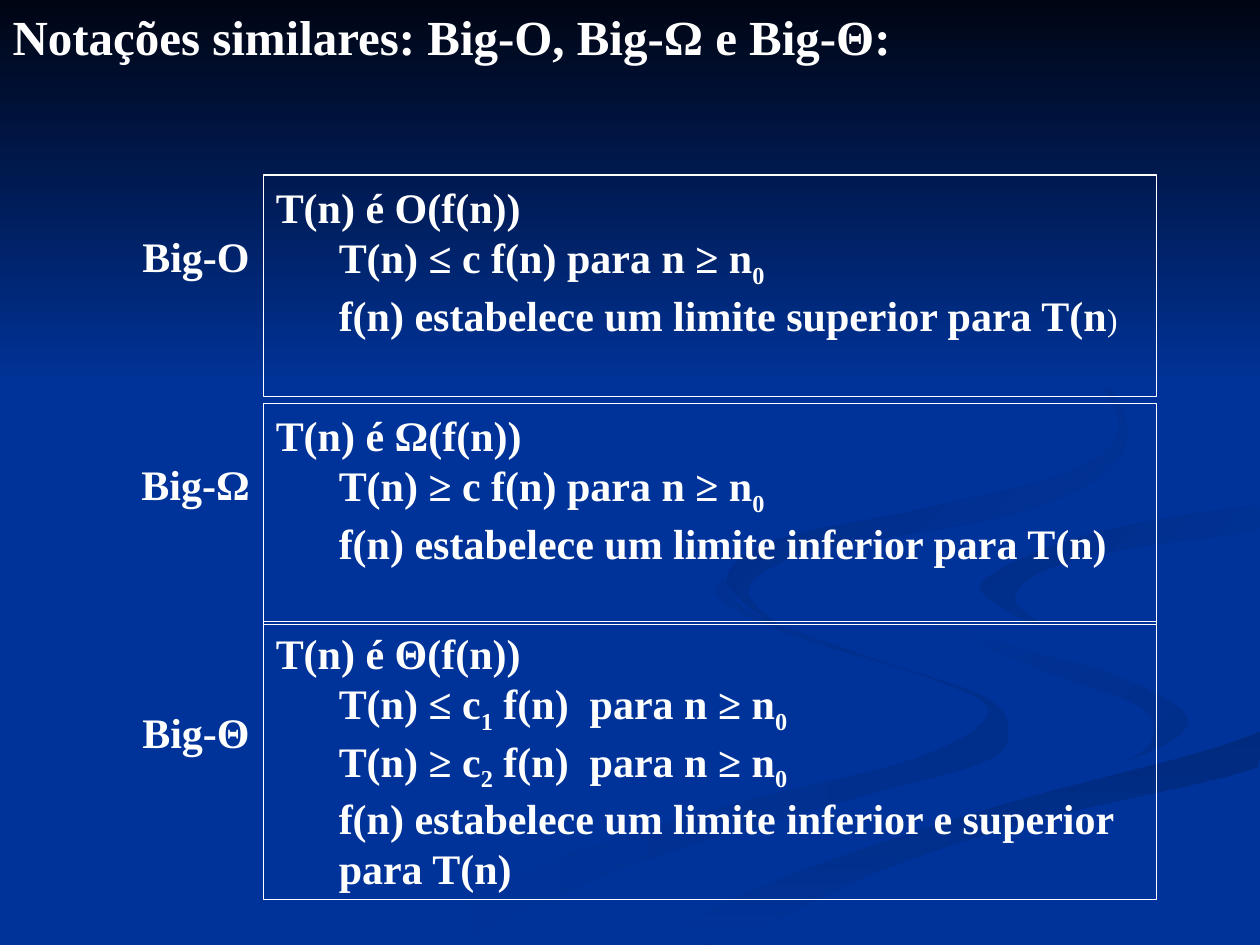
"""Build the slide comparing the Big-O, Big-Ω and Big-Θ notations."""
from dataclasses import dataclass

import pptx
import pptx.dml.color
import pptx.enum.shapes
import pptx.enum.text
import pptx.util
from pptx.util import Inches

Point = tuple[float, float]


@dataclass(frozen=True)
class Theme:
    font: str = "Times New Roman"
    background: str = "003399"
    night: str = "000514"
    text: str = "FFFFFF"
    title_size: int = 28
    body_size: int = 24
    small_size: int = 18
    border: float = 0.75


@dataclass(frozen=True)
class Ribbon:
    start: str
    end: str
    angle: int
    bends: tuple[Point, ...]


@dataclass(frozen=True)
class Notation:
    label: str
    label_top: float
    top: float
    height: float
    heading: str
    details: tuple[str, ...]
    small_ending: str = ""


THEME = Theme()
WIDTH, HEIGHT, SKY_HEIGHT = 10, 7.5, 3.08
BOX_LEFT, BOX_WIDTH = 2.09, 7.09
LABEL_LEFT, LABEL_WIDTH, LABEL_HEIGHT = 0.43, 1.65, 0.5
DETAIL_INDENT = 0.5
CURVE_STEPS = 5

RIBBONS = (
    Ribbon(THEME.background, "002E8B", 0, (
        (7.81, 5.53), (6.82, 5.19), (5.94, 4.85), (5.75, 4.59), (5.72, 4.76),
        (6.31, 5.05), (7.41, 5.39), (7.85, 5.66), (7.27, 6.02), (5.79, 6.39),
        (4.17, 6.9), (3, 7.49), (3.61, 7.49), (4.99, 6.87), (6.76, 6.34),
        (7.8, 6.05), (8, 5.81))),
    Ribbon(THEME.background, "002E8B", 45, (
        (9.43, 5.7), (9.05, 5.4), (8.11, 5.15), (7.33, 4.83), (7.24, 4.64),
        (7.39, 4.94), (8.38, 5.36), (9.07, 5.62), (9.14, 5.89), (8.94, 6.05),
        (9.32, 5.89))),
    Ribbon("002A7D", THEME.background, 90, (
        (5.03, 7.49), (5.71, 7.49), (6.95, 6.92), (8.21, 6.51), (9.98, 6.09),
        (9.98, 5.81), (7.97, 6.38), (6.3, 6.93))),
    Ribbon(THEME.background, THEME.background, 0, (
        (7.25, 4.64), (7.59, 4.98), (8.71, 5.3), (9.43, 5.7), (8.92, 6.05),
        (7.43, 6.43), (5.73, 7.03), (4.77, 7.49), (5.03, 7.49), (6.3, 6.93),
        (7.97, 6.38), (9.99, 5.81), (9.99, 5.38), (8.48, 5.03), (7.81, 4.63),
        (8.35, 4.3), (9.99, 4.02), (9.99, 3.87), (7.88, 4.22))),
    Ribbon("002D86", THEME.background, 45, (
        (7.81, 4.6), (7.97, 4.83), (8.26, 4.96), (8.05, 4.76), (8.28, 4.53),
        (8.96, 4.35), (9.98, 4.2), (9.98, 4.02), (8.65, 4.24))),
    Ribbon("002B82", THEME.background, 45, (
        (6.83, 4.3), (8.07, 4.07), (8.83, 3.7), (8.9, 3.24), (8.43, 2.75),
        (7.62, 2.33), (8.46, 2.79), (8.89, 3.35), (8.52, 3.74), (7.33, 4.04),
        (6.15, 4.29), (5.77, 4.62), (6.22, 5), (5.93, 4.7), (6.24, 4.44))),
)

NOTATIONS = (
    Notation("Big-O", 1.78, 1.39, 1.76, "T(n) é O(f(n))", (
        "T(n) ≤ c f(n) para n ≥ n_0",
        "f(n) estabelece um limite superior para T(n"), ")"),
    Notation("Big-Ω", 3.59, 3.2, 1.76, "T(n) é Ω(f(n))", (
        "T(n) ≥ c f(n) para n ≥ n_0",
        "f(n) estabelece um limite inferior para T(n)")),
    Notation("Big-Θ", 5.56, 4.93, 2.21, "T(n) é Θ(f(n))", (
        "T(n) ≤ c_1 f(n)  para n ≥ n_0",
        "T(n) ≥ c_2 f(n)  para n ≥ n_0",
        "f(n) estabelece um limite inferior e superior para T(n)")),
)


def rgb(value: str) -> pptx.dml.color.RGBColor:
    """Turn a hex string into a colour."""
    return pptx.dml.color.RGBColor.from_string(value)


def style(paragraph, size: int, align=pptx.enum.text.PP_ALIGN.LEFT) -> None:
    """Give a paragraph the bold slide font."""
    paragraph.alignment = align
    paragraph.font.name = THEME.font
    paragraph.font.size = pptx.util.Pt(size)
    paragraph.font.bold = True
    paragraph.font.color.rgb = rgb(THEME.text)


def write_formula(paragraph, formula: str) -> None:
    """Write text in which an underscore lowers the next character."""
    plain, *lowered = formula.split("_")
    paragraph.add_run().text = plain
    for part in lowered:
        subscript = paragraph.add_run()
        subscript.text = part[0]
        subscript.font._element.set("baseline", "-25000")
        if part[1:]:
            paragraph.add_run().text = part[1:]


def fill_backdrop(shape, start: str, end: str, angle: int) -> None:
    """Fill a borderless shape with one colour or a clockwise-angled gradient."""
    shape.shadow.inherit = False
    shape.line.fill.background()
    if start == end:
        shape.fill.solid()
        shape.fill.fore_color.rgb = rgb(start)
        return
    shape.fill.gradient()
    shape.fill.gradient_angle = (360 - angle) % 360
    for stop, color in zip(shape.fill.gradient_stops, (start, end)):
        stop.color.rgb = rgb(color)


def smooth_outline(bends: tuple[Point, ...]) -> list[Point]:
    """Return a closed Catmull-Rom curve through the bends, kept on the slide."""
    curve = []
    for i in range(len(bends)):
        corners = [bends[(i + shift) % len(bends)] for shift in (-1, 0, 1, 2)]
        for step in range(CURVE_STEPS):
            t = step / CURVE_STEPS
            x, y = (
                b + t / 2 * (c - a + t * (2*a - 5*b + 4*c - d + t * (3*b - a - 3*c + d)))
                for a, b, c, d in zip(*corners))
            curve.append((min(x, WIDTH), min(y, HEIGHT)))
    return curve


def draw_ribbon(slide, ribbon: Ribbon) -> None:
    """Draw a curved background band."""
    start, *rest = [(Inches(x), Inches(y)) for x, y in smooth_outline(ribbon.bends)]
    builder = slide.shapes.build_freeform(*start)
    builder.add_line_segments(rest, close=True)
    fill_backdrop(builder.convert_to_shape(), ribbon.start, ribbon.end, ribbon.angle)


def draw_rectangle(slide, left: float, top: float, width: float, height: float):
    """Add a rectangle measured in inches."""
    return slide.shapes.add_shape(
        pptx.enum.shapes.MSO_SHAPE.RECTANGLE, Inches(left), Inches(top),
        Inches(width), Inches(height))


def draw_title(slide, text: str) -> None:
    """Place the title in front of the background."""
    title = slide.shapes.title
    slide.shapes._spTree.append(title._element)
    title.left, title.top = 0, 0
    title.width, title.height = Inches(WIDTH), Inches(HEIGHT)
    title.text_frame.text = text
    title.text_frame.auto_size = pptx.enum.text.MSO_AUTO_SIZE.NONE
    title.text_frame.vertical_anchor = pptx.enum.text.MSO_ANCHOR.TOP
    style(title.text_frame.paragraphs[0], THEME.title_size)


def draw_definition(slide, notation: Notation) -> None:
    """Draw the outlined box that defines a notation."""
    box = draw_rectangle(slide, BOX_LEFT, notation.top, BOX_WIDTH, notation.height)
    box.shadow.inherit = False
    box.fill.background()
    box.line.color.rgb = rgb(THEME.text)
    box.line.width = pptx.util.Pt(THEME.border)
    frame = box.text_frame
    frame.word_wrap = True
    frame.vertical_anchor = pptx.enum.text.MSO_ANCHOR.TOP
    frame.text = notation.heading
    style(frame.paragraphs[0], THEME.body_size)
    for detail in notation.details:
        paragraph = frame.add_paragraph()
        paragraph.level = 1
        paragraph._p.get_or_add_pPr().set("marL", str(Inches(DETAIL_INDENT)))
        style(paragraph, THEME.body_size)
        write_formula(paragraph, detail)
    if notation.small_ending:
        ending = paragraph.add_run()
        ending.text = notation.small_ending
        ending.font.size = pptx.util.Pt(THEME.small_size)
        ending.font.bold = False


def draw_label(slide, notation: Notation) -> None:
    """Write the notation name to the left of its box."""
    label = slide.shapes.add_textbox(
        Inches(LABEL_LEFT), Inches(notation.label_top),
        Inches(LABEL_WIDTH), Inches(LABEL_HEIGHT)).text_frame
    label.word_wrap = True
    label.text = notation.label
    style(label.paragraphs[0], THEME.body_size, pptx.enum.text.PP_ALIGN.RIGHT)


def main() -> None:
    """Build and save the slide."""
    deck = pptx.Presentation()
    deck.slide_width, deck.slide_height = Inches(WIDTH), Inches(HEIGHT)
    slide = deck.slides.add_slide(deck.slide_layouts[5])
    slide.background.fill.solid()
    slide.background.fill.fore_color.rgb = rgb(THEME.background)
    for ribbon in RIBBONS:
        draw_ribbon(slide, ribbon)
    sky = draw_rectangle(slide, 0, 0, WIDTH, SKY_HEIGHT)
    fill_backdrop(sky, THEME.night, THEME.background, 90)
    draw_title(slide, "Notações similares: Big-O, Big-Ω e Big-Θ:")
    for draw in (draw_definition, draw_label):
        for notation in NOTATIONS:
            draw(slide, notation)
    deck.save("out.pptx")


if __name__ == "__main__":
    main()
